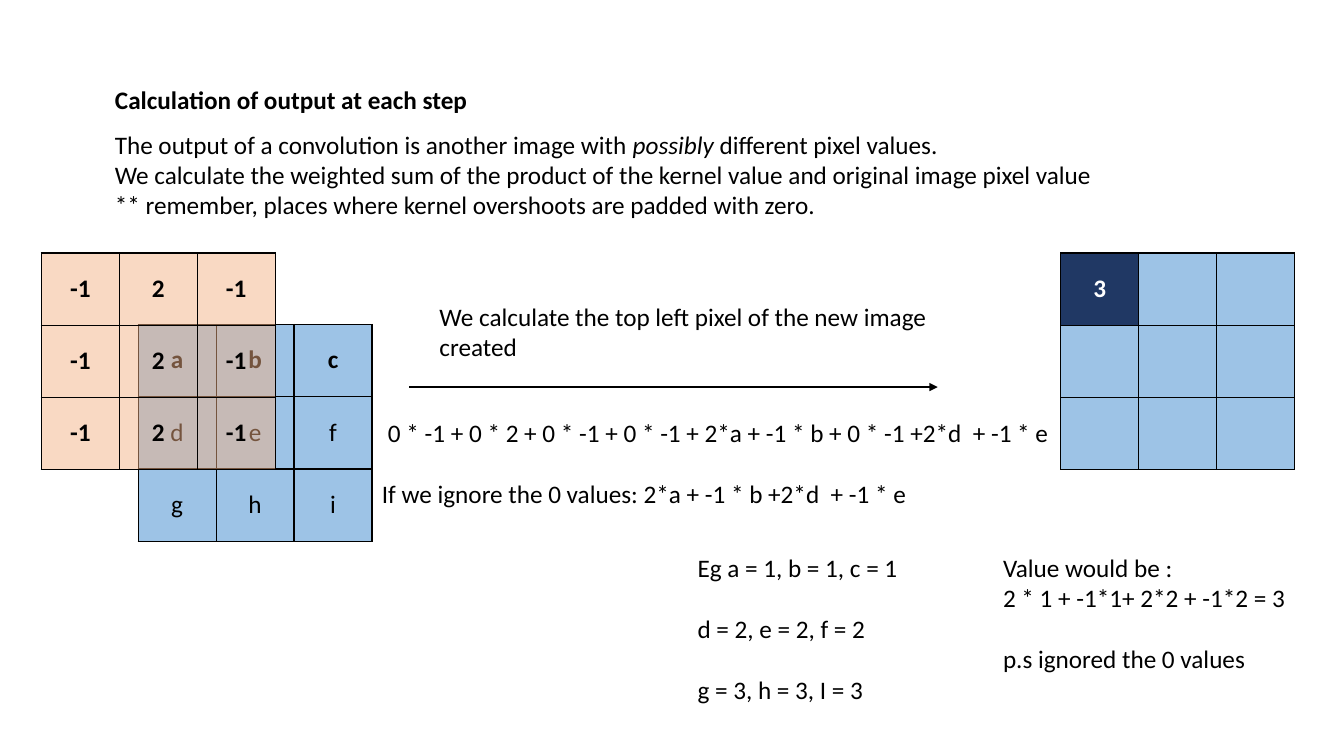
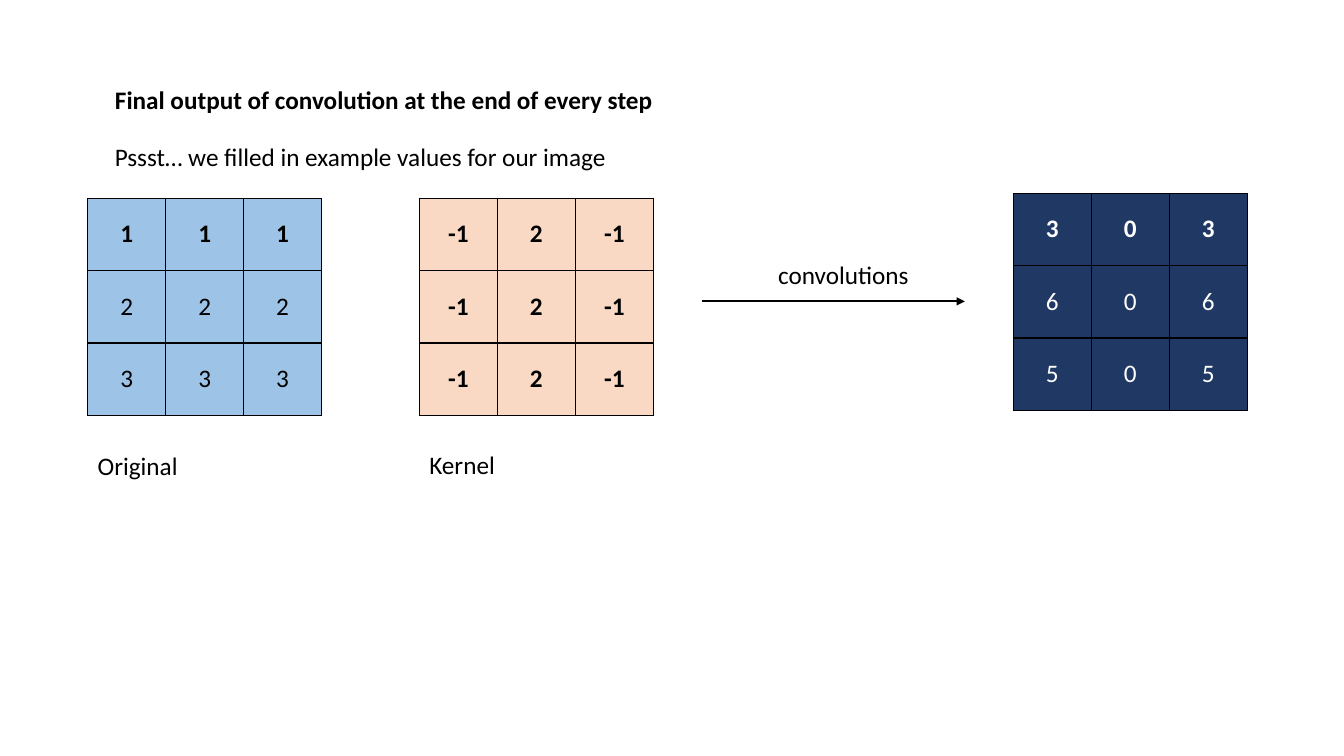
from lxml import etree
from pptx import Presentation
from pptx.dml.color import RGBColor
from pptx.enum.shapes import MSO_CONNECTOR
from pptx.enum.text import MSO_ANCHOR, MSO_AUTO_SIZE, PP_ALIGN
from pptx.oxml.ns import qn
from pptx.util import Pt

PX = 9144  # EMU: 100 px to the inch
LEFT, MID = PP_ALIGN.LEFT, PP_ALIGN.CENTER
TOP = MSO_ANCHOR.TOP
GROW, FIXED = MSO_AUTO_SIZE.SHAPE_TO_FIT_TEXT, MSO_AUTO_SIZE.NONE
STRAIGHT = MSO_CONNECTOR.STRAIGHT
FONT, SIZE = "Calibri", 18
LINE_GAP = 22  # points, the height of one line
COLORS = {"black": "000000", "white": "FFFFFF", "sky": "9DC3E6",
          "navy": "203864", "peach": "F4B183"}
ALPHA = {"peach": 48}

KERNEL = [["-1", "2", "-1"]] * 3
LETTERS = ["abc", "def", "ghi"]
VALUES = ["111", "222", "333"]
OUTPUT = ["303", "606", "505"]
FIRST = [["3", "", ""], [""] * 3, [""] * 3]


def rgb(name):
    return RGBColor.from_string(COLORS[name])


def write(par, text, color="black", bold=False, slant="", align=LEFT,
          lead=1.0, gap=0, inset=0):
    """Fill a paragraph; slant names the words to set in italics."""
    if inset:
        par._p.get_or_add_pPr().set("marL", str(inset * PX))
    par.alignment, par.line_spacing = align, lead
    par.space_before = Pt(gap)
    for part in text.partition(slant) if slant else (text,):
        run = par.add_run()
        run.text = part
        font = run.font
        font.name, font.size = FONT, Pt(SIZE)
        font.bold, font.italic = bold, part == slant
        font.color.rgb = rgb(color)


def border(cell):
    props = cell._tc.get_or_add_tcPr()
    for side in ("lnL", "lnR", "lnT", "lnB"):
        line = etree.SubElement(props, qn(f"a:{side}"), w=str(Pt(1)))
        fill = etree.SubElement(line, qn("a:solidFill"))
        etree.SubElement(fill, qn("a:srgbClr"), val=COLORS["black"])


def shade(cell, name):
    cell.fill.solid()
    cell.fill.fore_color.rgb = rgb(name)
    if name in ALPHA:
        tint = cell._tc.tcPr.find(qn("a:solidFill")).find(qn("a:srgbClr"))
        etree.SubElement(tint, qn("a:alpha"), val=str(ALPHA[name] * 1000))


class Deck:
    def __init__(self):
        self.prs = Presentation()
        self.prs.slide_width, self.prs.slide_height = 1333 * PX, 750 * PX
        self.slide = None

    def page(self, title, width):
        self.slide = self.prs.slides.add_slide(self.prs.slide_layouts[5])
        head = self.slide.shapes.title
        head.left, head.top = 104 * PX, 79 * PX
        head.width, head.height = width * PX, 40 * PX
        frame = head.text_frame
        frame.auto_size, frame.vertical_anchor = FIXED, TOP
        write(frame.paragraphs[0], title, bold=True)

    def text(self, x, y, w, h, *lines):
        """Add a box; a line is a string or a (string, format) pair."""
        box = self.slide.shapes.add_textbox(x * PX, y * PX, w * PX, h * PX)
        frame = box.text_frame
        frame.word_wrap, frame.auto_size = True, GROW
        for i, line in enumerate(lines):
            par = frame.add_paragraph() if i else frame.paragraphs[0]
            words, style = (line, {}) if isinstance(line, str) else line
            write(par, words, **style)

    def grid(self, x, y, rows, fill, heads=1):
        """Add a 3 by 3 table with bold head rows; empty cells are sky."""
        table = self.slide.shapes.add_table(
            3, 3, x * PX, y * PX, 232 * PX, 215 * PX).table
        table.first_row = table.horz_banding = False
        color = "white" if fill == "navy" else "black"
        for r, row in enumerate(rows):
            for c, value in enumerate(row):
                cell = table.cell(r, c)
                border(cell)
                shade(cell, fill if value else "sky")
                if value:
                    write(cell.text_frame.paragraphs[0], value, color=color,
                          bold=r < heads, align=MID, lead=1.5)

    def kernel(self, x, y):
        self.grid(x, y, KERNEL, "peach", heads=3)

    def arrow(self, x, y, end):
        line = self.slide.shapes.add_connector(
            STRAIGHT, x * PX, y * PX, end * PX, y * PX)
        line.line.color.rgb, line.line.width = rgb("black"), Pt(1.5)
        etree.SubElement(line.line._get_or_add_ln(), qn("a:tailEnd"),
                         type="triangle")
        etree.SubElement(line._element.spPr, qn("a:effectLst"))


def step(deck):
    apart = {"gap": LINE_GAP}
    deck.page("Calculation of output at each step", 404)
    deck.text(104, 123, 1083, 101,
              ("The output of a convolution is another image with possibly "
               "different pixel values.", {"slant": "possibly"}),
              "We calculate the weighted sum of the product of the kernel "
              "value and original image pixel value",
              "** remember, places where kernel overshoots are padded with "
              "zero.")
    deck.grid(137, 322, LETTERS, "sky")
    deck.kernel(41, 251)
    deck.grid(1052, 251, FIRST, "navy")
    deck.arrow(406, 384, 930)
    deck.text(426, 294, 511, 71,
              "We calculate the top left pixel of the new image created")
    deck.text(369, 409, 716, 101,
              ("0 * -1 + 0 * 2 + 0 * -1 + 0 * -1 + 2*a + -1 * b + 0 * -1 "
               "+2*d  + -1 * e", {"inset": 6}),
              ("If we ignore the 0 values: 2*a + -1 * b +2*d  + -1 * e",
               apart))
    deck.text(682, 543, 304, 162, "Eg a = 1, b = 1, c = 1",
              ("d = 2, e = 2, f = 2", apart),
              ("g = 3, h = 3, I = 3", apart))
    deck.text(985, 543, 304, 131, "Value would be :",
              "2 * 1 + -1*1+ 2*2 + -1*2 = 3",
              ("p.s ignored the 0 values", apart))


def final(deck):
    deck.page("Final output of convolution at the end of every step", 1041)
    deck.text(104, 135, 810, 40,
              "Pssst… we filled in example values for our image")
    deck.grid(87, 197, VALUES, "sky")
    deck.kernel(416, 197)
    deck.grid(1005, 192, OUTPUT, "navy")
    deck.arrow(696, 299, 957)
    deck.text(762, 252, 244, 40, "convolutions")
    deck.text(87, 442, 119, 42, "Original")
    deck.text(416, 441, 119, 42, "Kernel")


def main():
    deck = Deck()
    step(deck)
    final(deck)
    deck.prs.save("out.pptx")


if __name__ == "__main__":
    main()
